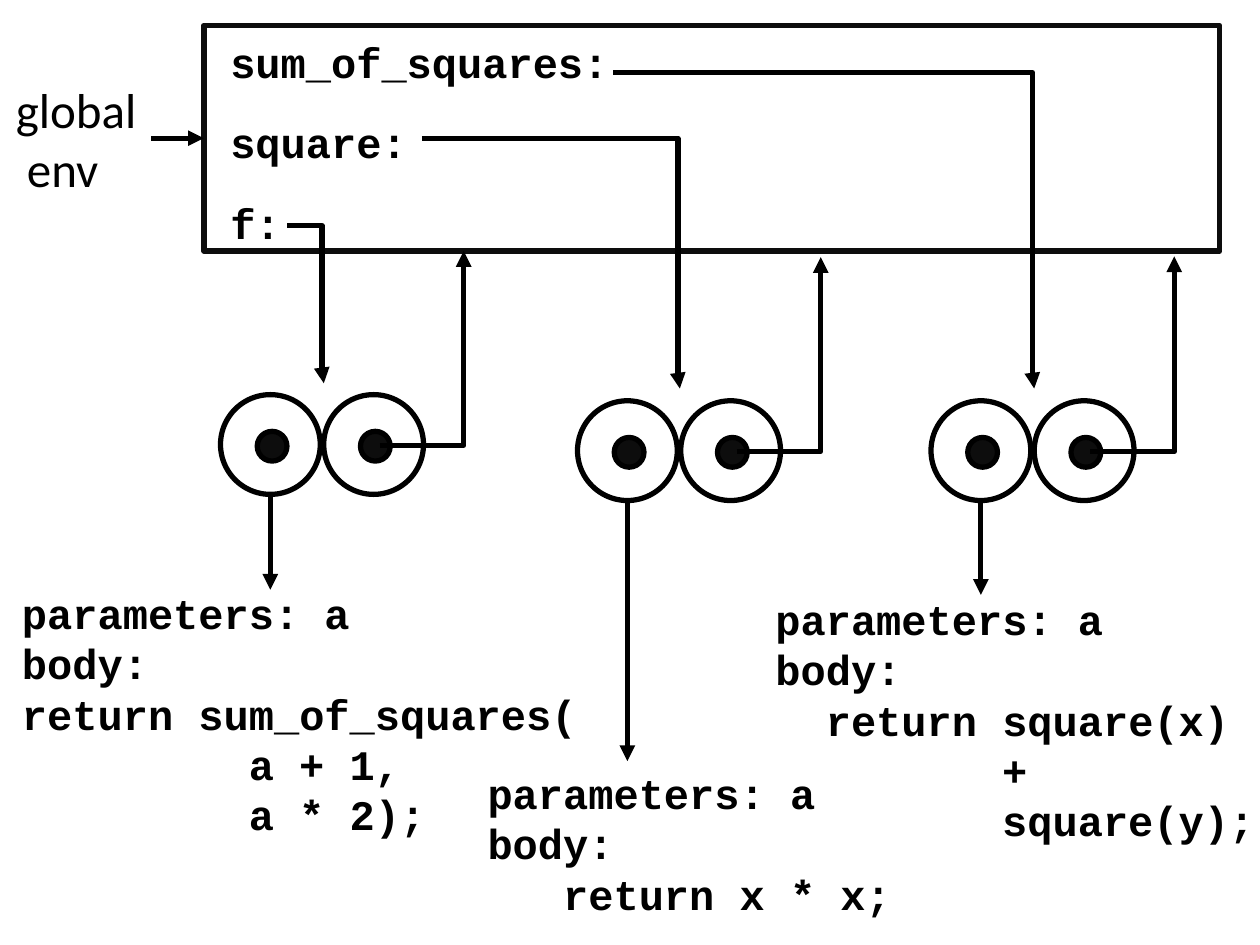
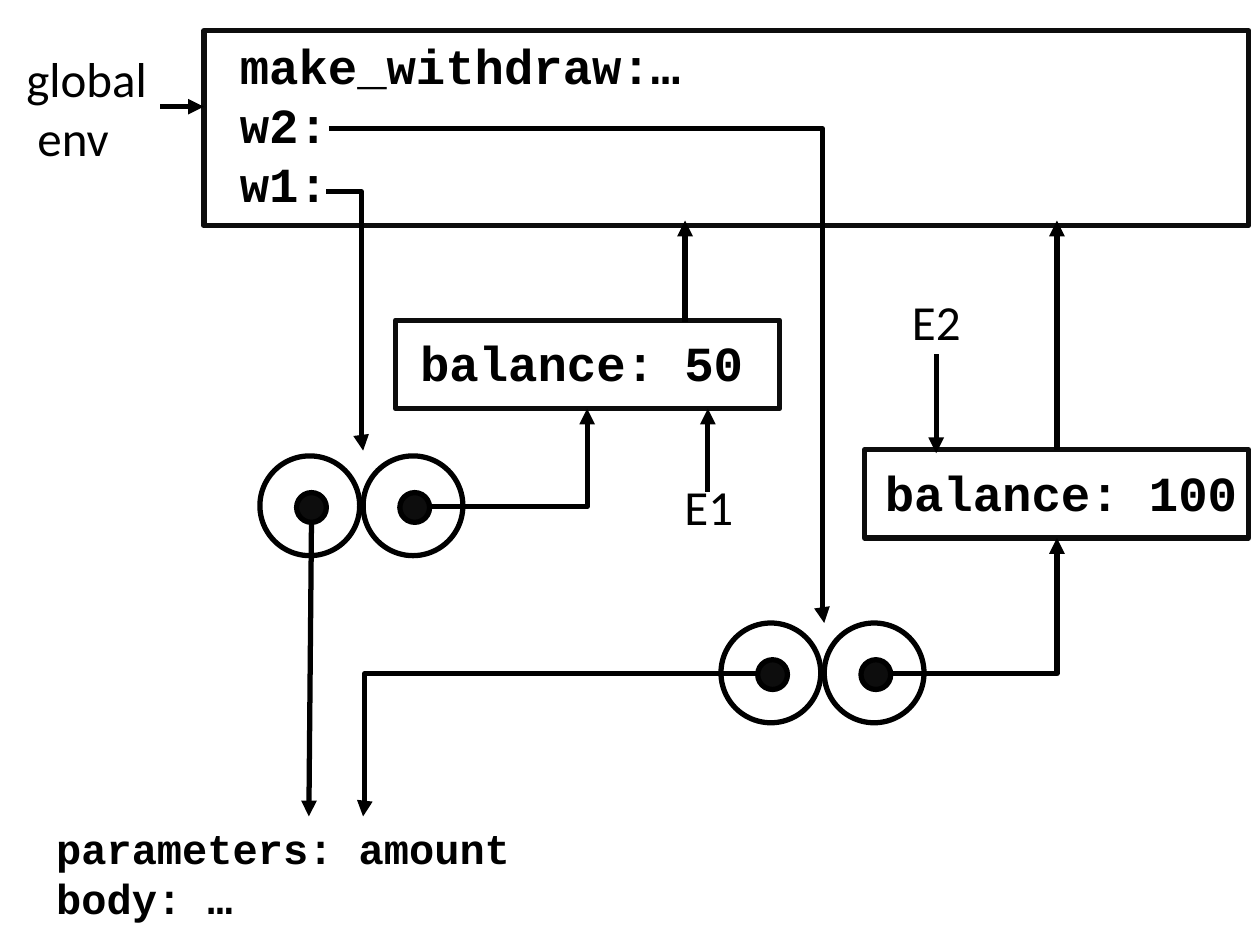
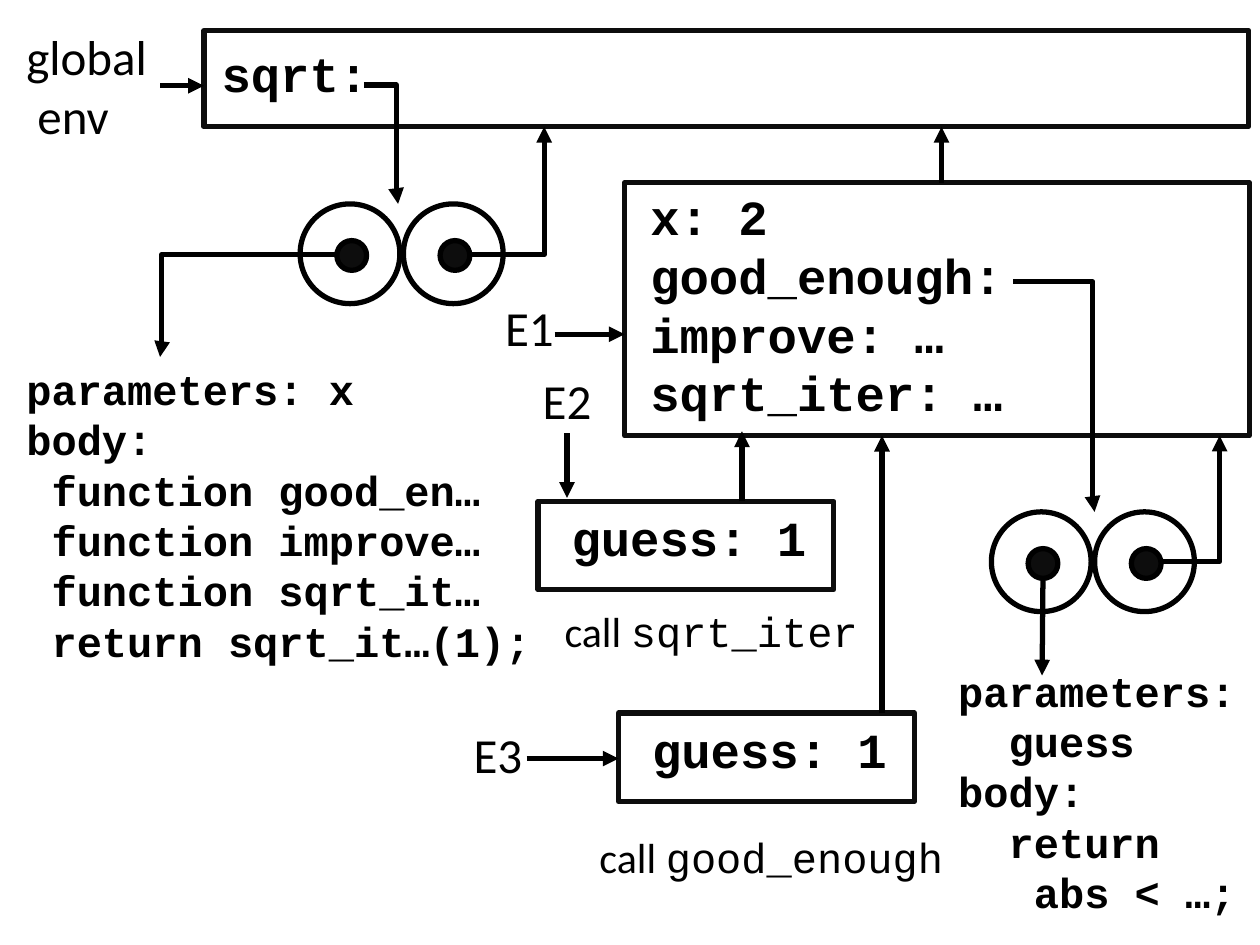
"""Draw three environment diagrams with frames, function pairs and arrows."""
from lxml.etree import SubElement as Sub
from pptx import Presentation
from pptx.dml.color import RGBColor as RGB
from pptx.enum.shapes import MSO_CONNECTOR as LINK, MSO_SHAPE as FORM
from pptx.enum.text import MSO_AUTO_SIZE as FIT
from pptx.oxml.ns import qn
from pptx.util import Pt


def hue(code):
    return RGB.from_string(code)


INK, SOOT = "000000", "0D0D0D"
CODE = dict(name="Courier New", size=Pt(24), bold=True)
BIND = dict(CODE, size=Pt(28))
MONO = dict(CODE, bold=False)
NOTE = dict(name="Calibri", size=Pt(24), bold=False)
LABEL = dict(NOTE, size=Pt(28))


class Board:
    wide, high = 720, 540
    stroke, ring, step, dot, inset = 3, 57, 59, 17, 21

    def __init__(self):
        self.deck = Presentation()
        self.deck.slide_width, self.deck.slide_height = Pt(self.wide), Pt(self.high)

    def page(self):
        self.slide = self.deck.slides.add_slide(self.deck.slide_layouts[6])

    def edge(self, item, code):
        item.line.color.rgb = hue(code)
        item.line.width = Pt(self.stroke)

    def form(self, kind, x, y, w, h, line=INK, fill=None):
        item = self.slide.shapes.add_shape(kind, Pt(x), Pt(y), Pt(w), Pt(h))
        item.shadow.inherit = False
        if fill:
            item.fill.solid()
            item.fill.fore_color.rgb = hue(fill)
        else:
            item.fill.background()
        self.edge(item, line)

    def frame(self, x, y, w, h):
        self.form(FORM.RECTANGLE, x, y, w, h, SOOT)

    def pair(self, x, y):
        for left in (x, x + self.step):
            self.form(FORM.OVAL, left, y, self.ring, self.ring)
            self.form(FORM.OVAL, left + self.inset, y + self.inset,
                      self.dot, self.dot, fill=SOOT)

    def run(self, par, words, style):
        font = par.add_run()
        font.text = words
        font = font.font
        font.color.rgb = hue(INK)
        for key, value in style.items():
            setattr(font, key, value)

    def text(self, x, y, w, h, lines, style=CODE, wrap=True, gap=0):
        box = self.slide.shapes.add_textbox(Pt(x), Pt(y), Pt(w), Pt(h)).text_frame
        box.word_wrap, box.auto_size = wrap, FIT.SHAPE_TO_FIT_TEXT
        for row, line in enumerate(lines):
            cols, words = line if isinstance(line, tuple) else (0, line)
            par = box.add_paragraph() if row else box.paragraphs[0]
            if row and gap:
                par.space_before = Pt(gap)
            if cols:
                props = par._p.get_or_add_pPr()
                props.set("marL", str(int(cols * style["size"] * 0.6)))
                props.set("indent", "0")
            self.run(par, words, style)
        return box

    def root(self, x, y):
        self.text(x, y, 84, 75, ["global", " env"], LABEL, False)

    def tag(self, x, y, words):
        self.text(x, y, 42.5, 41, [words], LABEL, False)

    def call(self, x, y, w, name):
        box = self.text(x, y, w, 36, ["call "], NOTE, False)
        self.run(box.paragraphs[0], name, MONO)

    def arrow(self, x, y, to_x, to_y, kind=LINK.STRAIGHT):
        item = self.slide.shapes.add_connector(kind, Pt(x), Pt(y), Pt(to_x), Pt(to_y))
        self.edge(item, INK)
        Sub(item.line._get_or_add_ln(), qn("a:tailEnd"), type="triangle")
        Sub(item._element.spPr, qn("a:effectLst"))
        return item

    def bend(self, x, y, to_x, to_y):
        geom = self.arrow(x, y, to_x, to_y, LINK.ELBOW)._element.spPr.find(qn("a:prstGeom"))
        if to_y < y:
            geom.set("prst", "bentConnector2")
            return
        ratio = round(100000 * (1 - 1 / abs(to_x - x)))
        guides = geom.find(qn("a:avLst"))
        if guides is None:
            guides = Sub(geom, qn("a:avLst"))
        Sub(guides, qn("a:gd"), name="adj1", fmla=f"val {ratio}")


def apply(board):
    board.page()
    board.frame(116.5, 14.5, 580.5, 129)
    board.text(124.5, 17.5, 502, 126, ["sum_of_squares:", "square:", "f:"], gap=17)
    board.root(2, 42)
    board.arrow(86.5, 79, 116.5, 79)
    for x, y, drop, top in ((126, 225.5, 337, 143.5), (330, 229, 435, 147),
                            (532, 229, 340, 146.5)):
        board.pair(x, y)
        board.arrow(x + 28.5, y + 57, x + 28.5, drop)
        board.bend(x + 91, y + 29, x + 139, top)
    for ends in ((164, 129, 185, 219), (241, 79, 388.5, 222), (350.5, 41.5, 591, 222)):
        board.bend(*ends)
    board.text(5.5, 332, 412, 181, ["parameters: a", "body:", "return sum_of_squares(",
                                    (9, "a + 1,"), (9, "a * 2);")])
    board.text(271.5, 435, 250.5, 94, ["parameters: a", "body:", (3, "return x * x;")])
    board.text(436, 335.5, 306, 152.5, ["parameters: a", "body:", (2, "return square(x)"),
                                        (9, "+"), (9, "square(y);")])


def draw(board):
    board.page()
    board.frame(116.5, 17.5, 597, 111.5)
    board.text(130, 17, 315, 109, ["make_withdraw:…", "w2:", "w1:"], BIND)
    board.root(8, 24)
    for x, y in ((148.5, 260.5), (412, 356)):
        board.pair(x, y)
    for x, y, left, words in ((226, 183, 233, "balance: 50"), (494, 257, 498.5, "balance: 100")):
        board.frame(x, y, 219.5, 50.5)
        board.text(left, y + 3.5, 219.5, 41, [words], BIND)
    board.tag(384, 269, "E1")
    board.tag(514, 163, "E2")
    board.text(25, 466.5, 294.5, 65.5, ["parameters: amount", "body: …"])
    for ends in ((91.5, 61, 116.5, 61), (178, 298, 176.5, 466.5), (404.5, 281, 404.5, 233.5),
                 (391.5, 184, 391.5, 126), (535, 202.5, 535, 259), (604, 257, 604, 126)):
        board.arrow(*ends)
    for ends in ((186.5, 109.5, 207.5, 257.5), (188, 73.5, 471, 356), (245.5, 289.5, 335.5, 233.5),
                 (509, 385, 604, 307.5), (433, 385, 207.5, 466.5)):
        board.bend(*ends)


def nest(board):
    board.page()
    board.frame(116.5, 17.5, 597, 55)
    board.text(119.5, 21.5, 315, 41, ["sqrt:"], BIND)
    board.root(8, 11.5)
    for x, y in ((171.5, 116.5), (566.5, 292.5)):
        board.pair(x, y)
    board.frame(357, 104.5, 357, 144.5)
    board.text(364.5, 103, 219.5, 143.5,
               ["x: 2", "good_enough:", "improve: …", "sqrt_iter: …"], BIND)
    for x, y in ((307.5, 286.5), (353.5, 407.5)):
        board.frame(x, y, 169, 50.5)
        board.text(x + 12, y, 157, 41, ["guess: 1"], BIND)
    for x, y, words in ((281.5, 166.5, "E1"), (303, 208, "E2"), (263.5, 410.5, "E3")):
        board.tag(x, y, words)
    board.call(315.5, 342.5, 186.5, "sqrt_iter")
    board.call(335.5, 471.5, 213, "good_enough")
    board.text(8, 204, 307.5, 181.5, ["parameters: x", "body:", (1, "function good_en…"),
                                      (1, "function improve…"), (1, "function sqrt_it…"),
                                      (1, "return sqrt_it…(1);")])
    board.text(540.5, 376.5, 307.5, 152.5, ["parameters:", (2, "guess"), "body:",
                                            (2, "return"), (3, "abs < …;")])
    for ends in ((91.5, 49, 116.5, 49), (538, 104.5, 538, 72.5), (301, 433.5, 353.5, 433.5),
                 (317, 191, 357, 191), (504, 407.5, 504, 249), (596, 330, 595.5, 386),
                 (424, 286.5, 424, 246.5), (324, 247.5, 324, 284.5)):
        board.arrow(*ends)
    for ends in ((208, 48.5, 227.5, 116.5), (268, 145.5, 311, 72.5), (192.5, 145.5, 91.5, 204),
                 (579, 161, 625.5, 292.5), (664, 321, 697, 249)):
        board.bend(*ends)


board = Board()
for scene in (apply, draw, nest):
    scene(board)
board.deck.save("out.pptx")
